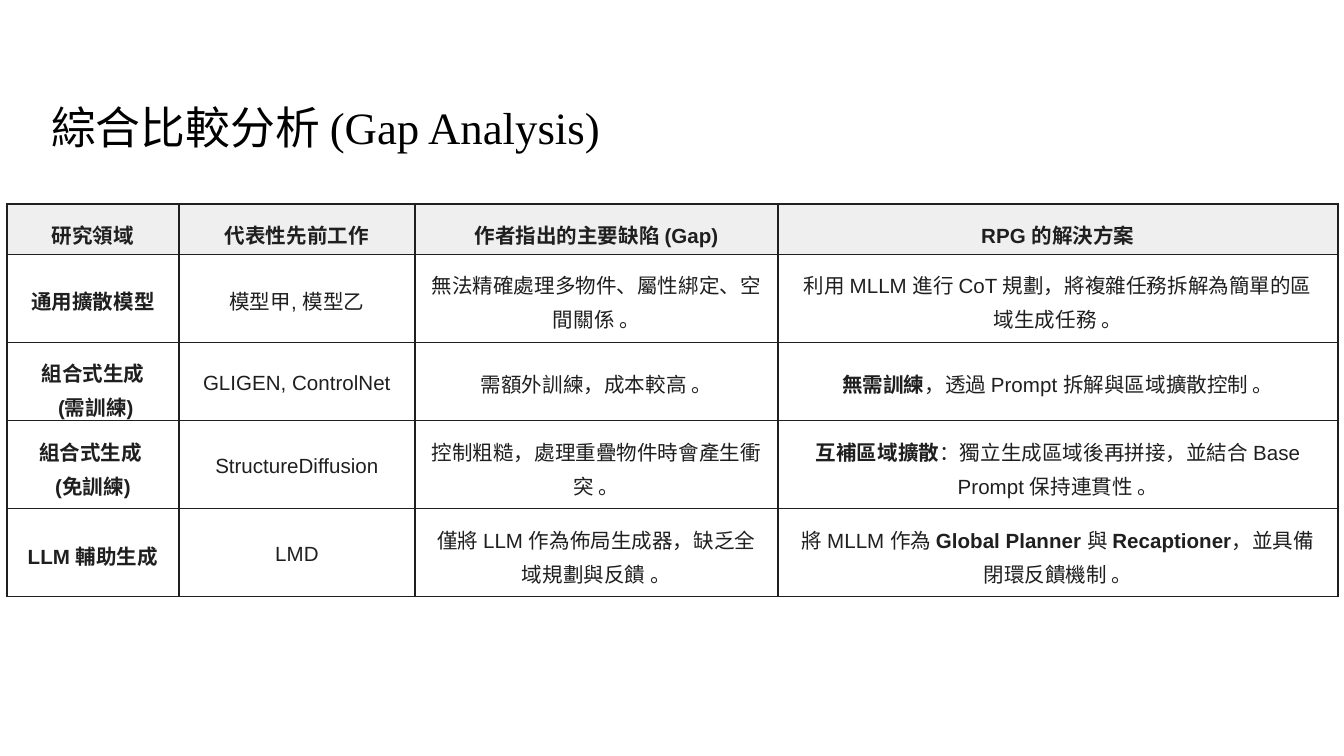
"""Build the gap analysis slide with its comparison table."""
import pptx
import pptx.dml.color
import pptx.enum.text
import pptx.oxml
import pptx.oxml.ns
import pptx.util

COLORS = {"title": "000000", "text": "1F1F1F", "border": "1F1F1F", "header": "EFEFEF"}
COLUMNS = [172, 236, 363, 560]
ROWS = [50, 88, 78, 88, 88]
CELLS = [
    ["**研究領域**", "**代表性先前工作**", "**作者指出的主要缺陷 (Gap)**", "**RPG 的解決方案**"],
    ["**通用擴散模型**", "模型甲, 模型乙", "無法精確處理多物件、屬性綁定、空間關係 。",
     "利用 MLLM 進行 CoT 規劃，將複雜任務拆解為簡單的區域生成任務 。"],
    ["**組合式生成**\n** (需訓練)**", "GLIGEN, ControlNet", "需額外訓練，成本較高 。",
     "**無需訓練**，透過 Prompt 拆解與區域擴散控制 。"],
    ["**組合式生成 **\n**(免訓練)**", "StructureDiffusion", "控制粗糙，處理重疊物件時會產生衝突 。",
     "**互補區域擴散**：獨立生成區域後再拼接，並結合 Base Prompt 保持連貫性 。"],
    ["**LLM 輔助生成**", "LMD", "僅將 LLM 作為佈局生成器，缺乏全域規劃與反饋 。",
     "將 MLLM 作為 **Global Planner** 與 **Recaptioner**，並具備閉環反饋機制 。"],
]


def px(n):
    return pptx.util.Emu(round(n * 914400 / 134.4))


def rgb(name):
    return pptx.dml.color.RGBColor.from_string(COLORS[name])


class Deck:
    def __init__(self):
        self.prs = pptx.Presentation()
        self.prs.slide_width, self.prs.slide_height = px(1344), px(756)
        self.s = self.prs.slides.add_slide(self.prs.slide_layouts[5])

    def font(self, p, name, size, color):
        p.font.name, p.font.size = name, pptx.util.Pt(size)
        p.font.color.rgb = rgb(color)

    def title(self, text, x, y, w, h):
        sp = self.s.shapes.title
        sp.left, sp.top, sp.width, sp.height = px(x), px(y), px(w), px(h)
        tf = sp.text_frame
        tf.text = text
        tf.word_wrap = True
        tf.auto_size = pptx.enum.text.MSO_AUTO_SIZE.SHAPE_TO_FIT_TEXT
        tf.vertical_anchor = pptx.enum.text.MSO_ANCHOR.TOP
        tf.margin_left = tf.margin_right = tf.margin_top = tf.margin_bottom = 0
        p = tf.paragraphs[0]
        p.alignment = pptx.enum.text.PP_ALIGN.LEFT
        p.line_spacing = 1.1
        self.font(p, "Times New Roman", 24, "title")

    def border(self, cell):
        tcPr = cell._tc.get_or_add_tcPr()
        for side in "LRTB":
            tcPr.append(pptx.oxml.parse_xml(
                f'<a:ln{side} {pptx.oxml.ns.nsdecls("a")} w="{pptx.util.Pt(0.75)}">'
                f'<a:solidFill><a:srgbClr val="{COLORS["border"]}"/></a:solidFill></a:ln{side}>'))

    def cell(self, cell, text, header):
        cell.margin_left = cell.margin_right = px(16)
        cell.margin_top = cell.margin_bottom = px(11)
        cell.vertical_anchor = pptx.enum.text.MSO_ANCHOR.MIDDLE
        self.border(cell)
        if header:
            cell.fill.solid()
            cell.fill.fore_color.rgb = rgb("header")
        else:
            cell.fill.background()
        tf = cell.text_frame
        for i, line in enumerate(text.split("\n")):
            p = tf.add_paragraph() if i else tf.paragraphs[0]
            p.alignment = pptx.enum.text.PP_ALIGN.CENTER
            p.line_spacing = 1.15
            self.font(p, "Arial", 11, "text")
            for j, part in enumerate(line.split("**")):
                if part:
                    r = p.add_run()
                    r.text = part
                    r.font.bold = j % 2 == 1

    def table(self, cells, x, y, columns, rows):
        table = self.s.shapes.add_table(len(rows), len(columns), px(x), px(y),
                                        px(sum(columns)), px(sum(rows))).table
        table.first_row = table.horz_banding = False
        for column, w in zip(table.columns, columns):
            column.width = px(w)
        for i, (row, h) in enumerate(zip(table.rows, rows)):
            row.height = px(h)
            for cell, text in zip(row.cells, cells[i]):
                self.cell(cell, text, i == 0)


def main():
    deck = Deck()
    deck.title("綜合比較分析 (Gap Analysis)", 51, 94, 1293, 54)
    deck.table(CELLS, 7, 204, COLUMNS, ROWS)
    deck.prs.save("out.pptx")


if __name__ == "__main__":
    main()
